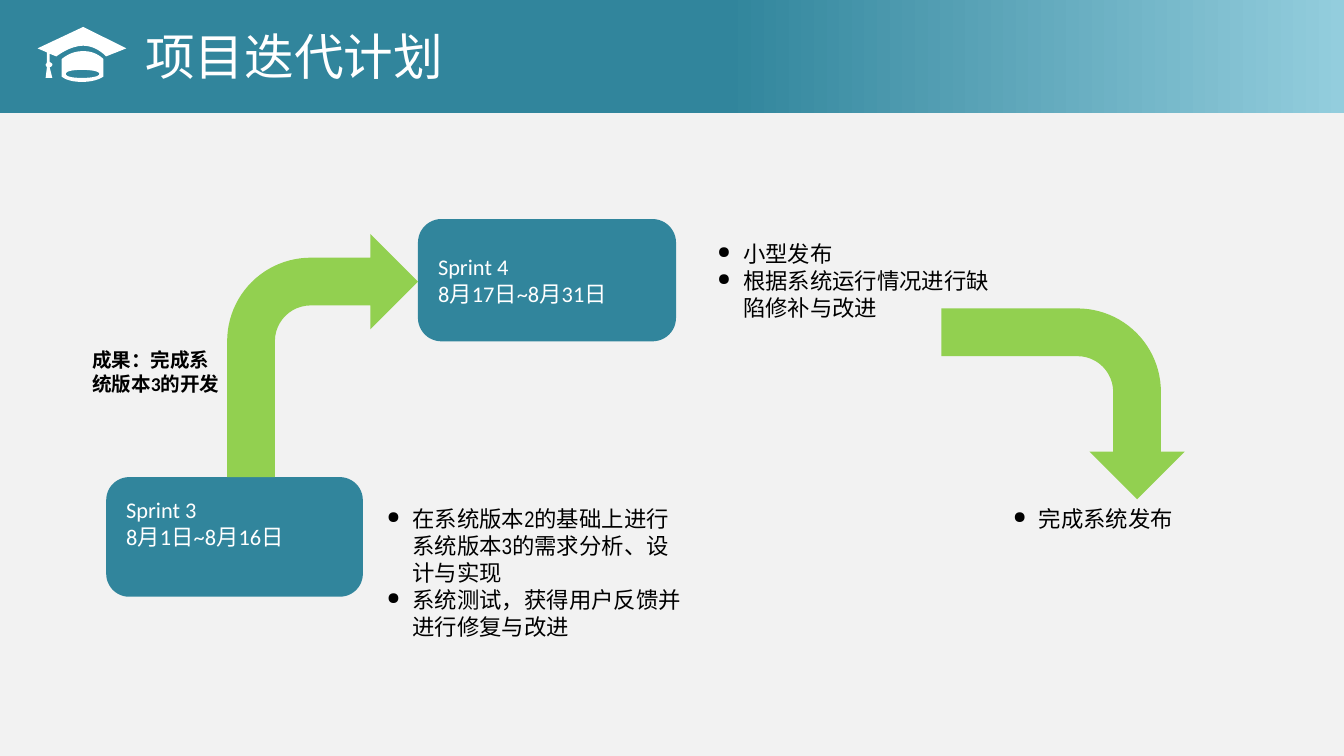
from typing import NamedTuple

from lxml.etree import SubElement
from pptx import Presentation
from pptx.dml.color import RGBColor
from pptx.enum.shapes import MSO_SHAPE
from pptx.enum.text import MSO_ANCHOR, MSO_AUTO_SIZE, PP_ALIGN
from pptx.oxml.ns import qn
from pptx.util import Inches, Pt

TEAL = RGBColor(0x31, 0x85, 0x9C)
SKY = RGBColor(0x93, 0xCD, 0xDD)
GREEN = RGBColor(0x92, 0xD0, 0x50)
GRAY = RGBColor(0xF2, 0xF2, 0xF2)
WHITE = RGBColor(0xFF, 0xFF, 0xFF)
BLACK = RGBColor(0, 0, 0)
CJK = "Noto Sans CJK SC"


class Box(NamedTuple):
    left: float
    top: float
    width: float
    height: float


class Sprint(NamedTuple):
    box: Box
    text: str
    base: float  # bottom inset


class Note(NamedTuple):
    box: Box
    text: str
    font: str = "Arial Narrow"
    size: float = 12
    bold: bool = False
    dots: bool = True


class Arrow(NamedTuple):
    box: Box
    turn: int


SPRINTS = [
    Sprint(Box(0.79, 3.55, 1.91, 0.89), "Sprint 3\n8月1日~8月16日", 0.25),
    Sprint(Box(3.11, 1.63, 1.92, 0.91), "Sprint 4\n8月17日~8月31日", 0.05),
]
ARROWS = [
    Arrow(Box(1.69, 1.74, 1.42, 1.81), 0),
    Arrow(Box(7.2, 2.1, 1.42, 1.81), 90),
]
NOTES = [
    Note(Box(2.78, 3.71, 2.42, 1.3),
         "在系统版本2的基础上进行系统版本3的需求分析、设计与实现\n"
         "系统测试，获得用户反馈并进行修复与改进"),
    Note(Box(5.24, 1.74, 2.36, 0.94),
         "小型发布\n根据系统运行情况进行缺陷修补与改进"),
    Note(Box(7.44, 3.71, 2.36, 0.94), "完成系统发布"),
    Note(Box(0.59, 2.54, 1.16, 0.45), "成果：完成系统版本3的开发",
         "Calibri", 10.5, True, False),
]

# Cap outlines in hundredths of an inch:
# a pair is a line end, six numbers are a cubic curve
CAP = [
    [(79, 42), (79, 42, 72, 34, 62, 34), (52, 34, 42, 42, 42, 42), (37, 40),
     (37, 46), (38, 47, 39, 47, 39, 48), (39, 49, 38, 50, 37, 50), (39, 58),
     (34, 58), (35, 50), (35, 50, 34, 49, 34, 48), (34, 48, 35, 47, 35, 46),
     (35, 39), (28, 36), (62, 20), (94, 36)],
    [(62, 38), (72, 38, 77, 44, 77, 44), (77, 57), (77, 57, 72, 61, 61, 61),
     (50, 61, 46, 57, 46, 57), (46, 44), (46, 44, 52, 38, 62, 38)],
    [(61, 58), (68, 58, 74, 57, 74, 55), (74, 53, 68, 52, 61, 52),
     (54, 52, 49, 53, 49, 55), (49, 57, 54, 58, 61, 58)],
]


def place(box: Box) -> list:
    return [Inches(v) for v in box]


def paint(shape, color: RGBColor) -> None:
    shape.shadow.inherit = False
    shape.fill.solid()
    shape.fill.fore_color.rgb = color
    shape.line.fill.background()


def write(frame, text: str, font: str, size: float, color: RGBColor,
          bold: bool = False) -> None:
    frame.text = text
    frame.word_wrap = True
    for para in frame.paragraphs:
        para.alignment = PP_ALIGN.LEFT
        for run in para.runs:
            run.font.name, run.font.size = font, Pt(size)
            run.font.bold, run.font.color.rgb = bold, color
            SubElement(run.font._element, qn("a:ea")).set("typeface", CJK)


def trace(path: list, steps: int = 8) -> list:
    """Turn lines and cubic curves into points, in inches."""
    pts = [path[0]]
    for part in path[1:]:
        if len(part) == 2:
            pts.append(part)
            continue
        knots = [pts[-1], part[:2], part[2:4], part[4:]]
        for i in range(1, steps + 1):
            t = i / steps
            mix = ((1 - t) ** 3, 3 * t * (1 - t) ** 2, 3 * t * t * (1 - t), t ** 3)
            pts.append(tuple(sum(m * k[axis] for m, k in zip(mix, knots))
                             for axis in (0, 1)))
    return [(Inches(x / 100), Inches(y / 100)) for x, y in pts]


def add_cap(slide) -> None:
    paths = [trace(path) for path in CAP]
    pen = slide.shapes.build_freeform(*paths[0][0])
    for i, pts in enumerate(paths):
        if i:
            pen.move_to(*pts[0])
        pen.add_line_segments(pts[1:], close=True)
    paint(pen.convert_to_shape(), WHITE)


def add_head(slide) -> None:
    band = slide.shapes.add_shape(MSO_SHAPE.RECTANGLE,
                                  *place(Box(0, 0, 10, 0.84)))
    paint(band, TEAL)
    band.fill.gradient()
    band.fill.gradient_angle = 0
    for stop, (at, color) in zip(band.fill.gradient_stops,
                                 [(0.54, TEAL), (1, SKY)]):
        stop.position, stop.color.rgb = at, color

    title = slide.shapes.title
    title.left, title.top, title.width, title.height = place(
        Box(0.98, 0.14, 4.22, 0.55))
    write(title.text_frame, "项目迭代计划", CJK, 26.6, WHITE)
    title.text_frame.vertical_anchor = MSO_ANCHOR.TOP
    title.text_frame.auto_size = MSO_AUTO_SIZE.NONE
    slide.shapes._spTree.append(title._element)  # bring above the band


def add_sprint(slide, item: Sprint) -> None:
    card = slide.shapes.add_shape(MSO_SHAPE.ROUNDED_RECTANGLE, *place(item.box))
    card.adjustments[0] = 0.192
    paint(card, TEAL)
    write(card.text_frame, item.text, "Calibri", 12, WHITE)
    card.text_frame.vertical_anchor = MSO_ANCHOR.MIDDLE
    card.text_frame.margin_bottom = Inches(item.base)


def add_arrow(slide, item: Arrow) -> None:
    arrow = slide.shapes.add_shape(MSO_SHAPE.BENT_ARROW, *place(item.box))
    arrow.rotation = item.turn
    paint(arrow, GREEN)


def add_note(slide, item: Note) -> None:
    frame = slide.shapes.add_textbox(*place(item.box)).text_frame
    write(frame, item.text, item.font, item.size, BLACK, item.bold)
    if item.dots:
        for para in frame.paragraphs:
            props = para._p.get_or_add_pPr()
            props.set("marL", str(Inches(0.19)))
            props.set("indent", str(-Inches(0.19)))
            SubElement(props, qn("a:buSzPct")).set("val", "75000")
            SubElement(props, qn("a:buChar")).set("char", "●")


def main() -> None:
    deck = Presentation()
    deck.slide_width = Inches(10)
    deck.slide_height = Inches(10 * 9 / 16)
    slide = deck.slides.add_slide(deck.slide_layouts[5])
    slide.background.fill.solid()
    slide.background.fill.fore_color.rgb = GRAY

    # Header
    add_head(slide)
    add_cap(slide)

    # Iterations, flow and notes
    for item in SPRINTS:
        add_sprint(slide, item)
    for item in ARROWS:
        add_arrow(slide, item)
    for item in NOTES:
        add_note(slide, item)

    deck.save("out.pptx")


if __name__ == "__main__":
    main()
